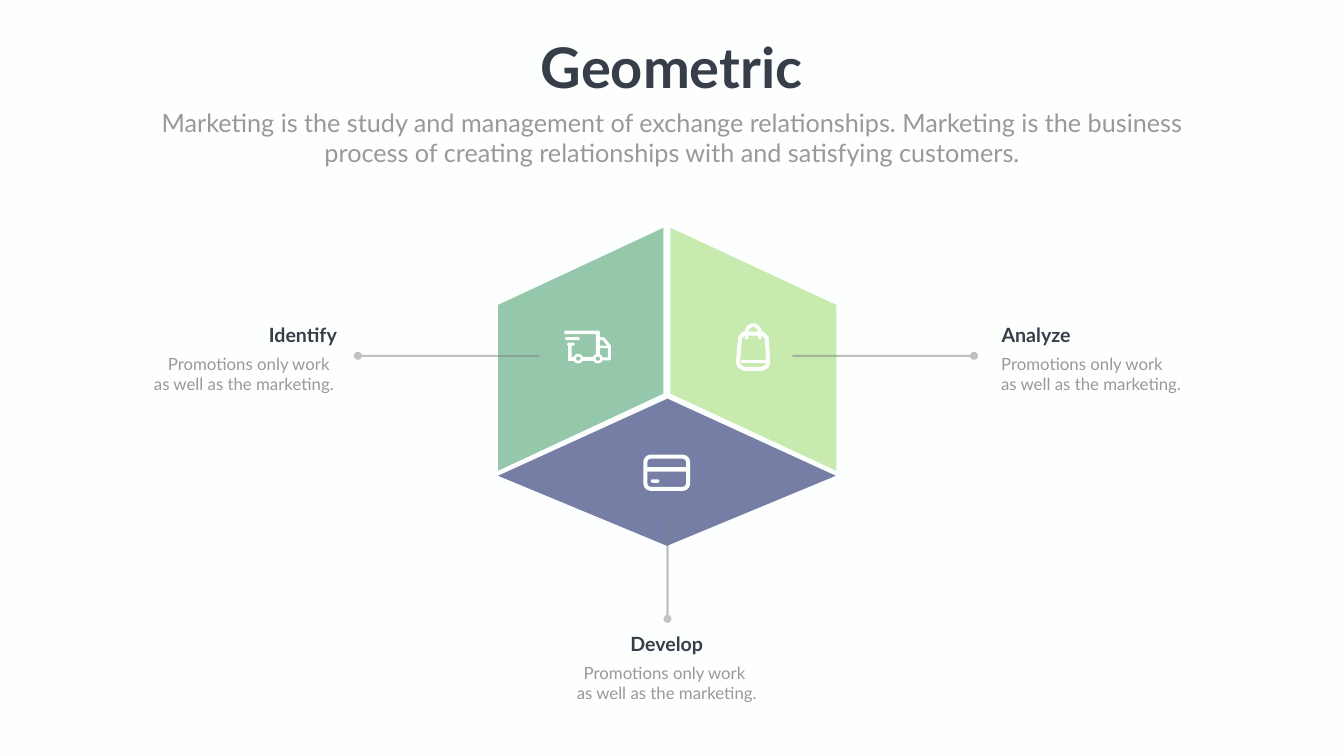
import math
from pptx import Presentation
from pptx import util as u
from pptx.dml.color import RGBColor
from pptx.enum import shapes, text
from pptx.oxml.ns import qn
from lxml import etree

PX = 9144
FONT = "Lato"
PAPER = RGBColor(0xFD, 0xFF, 0xFE)
GREEN = RGBColor(0x95, 0xC7, 0xAA)
LIME = RGBColor(0xC7, 0xEB, 0xAF)
VIOLET = RGBColor(0x76, 0x7E, 0xA6)
DARK = RGBColor(0x35, 0x3E, 0x49)
GREY = RGBColor(0x98, 0x99, 0x98)
LINE = RGBColor(0x80, 0x80, 0x80)
DOT = RGBColor(0xC1, 0xC2, 0xC1)

LEFT, CENTER, RIGHT = text.PP_ALIGN.LEFT, text.PP_ALIGN.CENTER, text.PP_ALIGN.RIGHT
RECT = shapes.MSO_SHAPE.RECTANGLE
ROUND = shapes.MSO_SHAPE.ROUNDED_RECTANGLE
OVAL = shapes.MSO_SHAPE.OVAL
DONUT = shapes.MSO_SHAPE.DONUT

TITLE = "Geometric"
SUBTITLE = ("Marketing is the study and management of exchange relationships. "
            "Marketing is the business process of creating relationships with "
            "and satisfying customers.")

FACES = [
    (GREEN, [(1316, 781), (988, 934), (988, 605), (1316, 452)]),
    (LIME, [(1330, 781), (1659, 934), (1659, 605), (1330, 452)]),
    (VIOLET, [(988, 944), (1324, 791), (1658, 944), (1323, 1083)]),
]

CALLOUTS = [
    ("Analyze", ["Promotions only work", "as well as the marketing."],
     LEFT, (1977, 636), (1976, 697), (1572, 706), (1932, 706)),
    ("Identify", ["Promotions only work ", "as well as the marketing."],
     RIGHT, (417, 636), (209, 697), (1070, 706), (710, 706)),
    ("Develop", ["Promotions only work ", "as well as the marketing."],
     CENTER, (1192, 1249), (1091, 1310), (1324, 1030), (1324, 1228)),
]

TRUCK_PARTS = [
    (ROUND, 1119, 656, 71, 7, 0.5), (RECT, 1182, 659, 8, 46, None),
    (ROUND, 1121, 669, 29, 6, 0.5), (ROUND, 1125, 680, 15, 6, 0.5),
    (RECT, 1127, 684, 7, 32, None), (RECT, 1127, 708, 13, 8, None),
    (RECT, 1153, 708, 27, 8, None), (RECT, 1186, 686, 24, 5, None),
    (DONUT, 1137, 702, 20, 19, 0.28), (DONUT, 1176, 702, 20, 19, 0.28),
]
CAB = [(1189, 672), (1197, 672), (1209, 687), (1209, 712), (1193, 712)]
CARD_PARTS = [(RECT, 1282, 927, 84, 9, None), (ROUND, 1291, 951, 17, 7, 0.5)]
BAG_PARTS = [(ROUND, 1470, 714, 52, 6, 0.5)]
BAG = [(1468, 670), (1475, 662), (1513, 662), (1521, 670),
       (1524, 719), (1521, 727), (1512, 732),
       (1476, 732), (1467, 727), (1464, 719)]
HANDLE_ARC = [(1494 - 13 * math.cos(math.pi * i / 12),
               658 - 13 * math.sin(math.pi * i / 12)) for i in range(13)]
HANDLE = [(1481, 673), *HANDLE_ARC, (1507, 673)]

prs = Presentation()
prs.slide_width, prs.slide_height = 2666 * PX, 1500 * PX
s = prs.slides.add_slide(prs.slide_layouts[5])
s.background.fill.solid()
s.background.fill.fore_color.rgb = PAPER


def paint(sp, fill=None, line=None, width=0):
    sp.shadow.inherit = False
    if fill is None:
        sp.fill.background()
    else:
        sp.fill.solid()
        sp.fill.fore_color.rgb = fill
    if line is None:
        sp.line.fill.background()
    else:
        sp.line.color.rgb = line
        sp.line.width = width * PX


def outline(points, close=True, **style):
    builder = s.shapes.build_freeform(*points[0], scale=PX)
    builder.add_line_segments(points[1:], close=close)
    paint(builder.convert_to_shape(), **style)


def preset(kind, x, y, w, h, adjust=None, **style):
    sp = s.shapes.add_shape(kind, x * PX, y * PX, w * PX, h * PX)
    if adjust is not None:
        sp.adjustments[0] = adjust
    paint(sp, **style)


def write(sp, lines, size, color, align, bold=False, wrap=True):
    tf = sp.text_frame
    tf.text = "\n".join(lines)
    tf.word_wrap = wrap
    tf.auto_size = text.MSO_AUTO_SIZE.NONE
    tf.vertical_anchor = text.MSO_ANCHOR.TOP
    for p in tf.paragraphs:
        p.alignment = align
        for r in p.runs:
            r.font.name, r.font.size, r.font.bold = FONT, u.Pt(size), bold
            r.font.color.rgb = color


def label(x, y, w, h, *args, **kw):
    write(s.shapes.add_textbox(x * PX, y * PX, w * PX, h * PX), *args, **kw)


def leader(start, end):
    cx = s.shapes.add_connector(shapes.MSO_CONNECTOR.STRAIGHT,
                                *(v * PX for v in (*start, *end)))
    cx.line.color.rgb = LINE
    cx.line.width = u.Pt(3)
    color = cx.line.fill._xPr.find(".//" + qn("a:srgbClr"))
    etree.SubElement(color, qn("a:alpha")).set("val", "50000")
    etree.SubElement(cx._element.spPr, qn("a:effectLst"))
    preset(OVAL, end[0] - 8, end[1] - 8, 16, 16, fill=DOT)


title = s.shapes.title
title.left, title.top, title.width, title.height = (v * PX for v in (1058, 59, 549, 145))
write(title, [TITLE], 80, DARK, CENTER, bold=True, wrap=False)
label(292, 208, 2082, 131, [SUBTITLE], 36, GREY, CENTER)

for color, points in FACES:
    outline(points, fill=color)

outline(CAB, close=False, line=PAPER, width=6)
preset(ROUND, 1280, 906, 85, 64, 0.17, line=PAPER, width=8)
outline(BAG, line=PAPER, width=8)
outline(HANDLE, close=False, line=PAPER, width=7)
for part in TRUCK_PARTS + CARD_PARTS + BAG_PARTS:
    preset(*part, fill=PAPER)

for heading, body, align, head_at, body_at, start, end in CALLOUTS:
    leader(start, end)
    label(*head_at, 261, 57, [heading], 28, DARK, align, bold=True)
    label(*body_at, 463, 91, body, 24, GREY, align)

prs.save("out.pptx")
